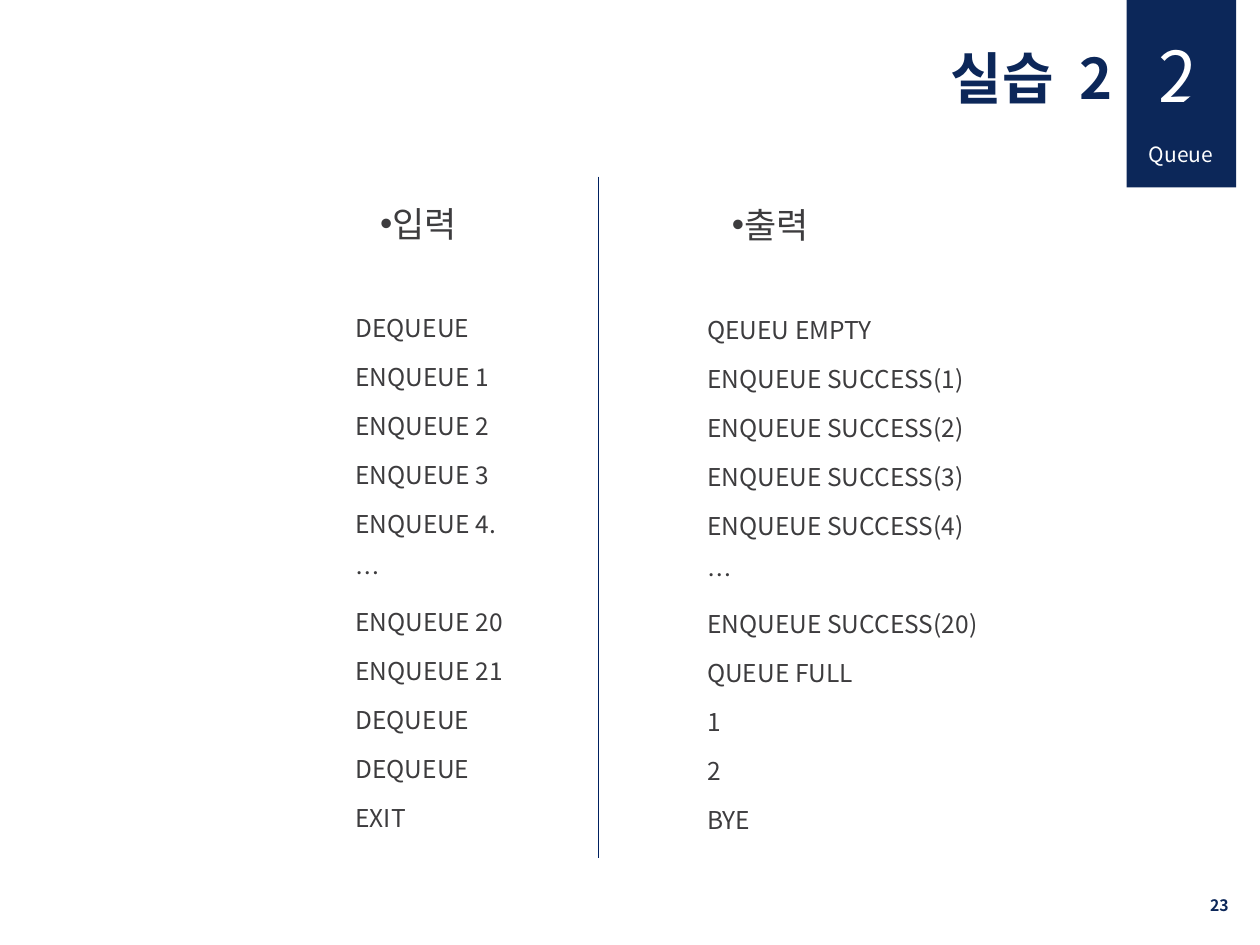
from lxml import etree
from pptx import Presentation
from pptx.dml.color import RGBColor
from pptx.enum.shapes import MSO_CONNECTOR, MSO_SHAPE
from pptx.enum.text import MSO_ANCHOR, MSO_AUTO_SIZE, PP_ALIGN
from pptx.oxml.ns import qn
from pptx.util import Cm, Pt

LEFT, RIGHT, JUST = PP_ALIGN.LEFT, PP_ALIGN.RIGHT, PP_ALIGN.JUSTIFY
TOP, MID = MSO_ANCHOR.TOP, MSO_ANCHOR.MIDDLE
FIXED = MSO_AUTO_SIZE.NONE
RECT, WEDGE = MSO_SHAPE.RECTANGLE, MSO_SHAPE.ISOSCELES_TRIANGLE
LINE = MSO_CONNECTOR.STRAIGHT

NAVY = RGBColor(0x0C, 0x27, 0x59)
RULE = RGBColor(0x00, 0x20, 0x60)
GREY = RGBColor(0x3D, 0x3C, 0x3E)
WHITE = RGBColor(0xFF, 0xFF, 0xFF)
FONT = "Noto Sans CJK KR"

TITLE = ["실습", " ", "2"]
LISTS = [
    ("입력", (6.91, 3.53, 8.41, 11.3),
     ["DEQUEUE", "ENQUEUE 1", "ENQUEUE 2", "ENQUEUE 3", "ENQUEUE 4.", "…",
      "ENQUEUE 20", "ENQUEUE 21", "DEQUEUE", "DEQUEUE", "EXIT"]),
    ("출력", (14, 3.56, 8.41, 10.9),
     ["QEUEU EMPTY", "ENQUEUE SUCCESS(1)", "ENQUEUE SUCCESS(2)",
      "ENQUEUE SUCCESS(3)", "ENQUEUE SUCCESS(4)", "…",
      "ENQUEUE SUCCESS(20)", "QUEUE FULL", "1", "2", "BYE"]),
]
LABELS = [
    ("23", (19.1, 17.73, 5.92, 1.02), 9, NAVY, True, RIGHT, MID),
    ("Queue", (22.91, 2.72, 2.01, 0.76), 12, WHITE, False, JUST, TOP),
    ("2", (23.11, 0.53, 1.6, 1.96), 40, WHITE, False, LEFT, TOP),
]
BLOCK = (22.71, 0, 2.21, 3.78)
CORNER = (23.32, 1.52, 1.19, 0.99)
SPLIT = (12.07, 3.56, 12.07, 17.3)


def place(shape, box):
    shape.left, shape.top, shape.width, shape.height = map(Cm, box)


def frame(shape, side=TOP):
    body = shape.text_frame
    body.word_wrap = True
    body.auto_size = FIXED
    body.vertical_anchor = side
    return body


def write(para, text, size, color, bold=False):
    run = para.add_run()
    run.text = text
    font = run.font
    font.size, font.bold, font.name = Pt(size), bold, FONT
    font.color.rgb = color
    props = run._r.get_or_add_rPr()
    etree.SubElement(props, qn("a:ea")).set("typeface", FONT)
    return props


def bullet(para, mark=None):
    props = para._p.get_or_add_pPr()
    props.set("marL", "0")
    props.set("indent", str(Cm(0.5) if mark else 0))
    if mark:
        etree.SubElement(props, qn("a:buChar")).set("char", mark)
    else:
        etree.SubElement(props, qn("a:buNone"))


def fill_list(shape, head, rows):
    body = frame(shape)
    for i, text in enumerate([head] + rows):
        para = body.paragraphs[0] if i == 0 else body.add_paragraph()
        bullet(para, None if i else "•")
        para.alignment = LEFT
        para.line_spacing = 1.5
        para.space_before = Pt({0: 0, 1: 30.8}.get(i, 2.8))
        para.space_after = Pt(0)
        write(para, text, 14 if i else 20, GREY)


def add_solid(slide, kind, box):
    shape = slide.shapes.add_shape(kind, *map(Cm, box))
    shape.shadow.inherit = False
    shape.fill.solid()
    shape.fill.fore_color.rgb = NAVY
    shape.line.fill.background()
    return shape


def main():
    deck = Presentation()
    deck.slide_width, deck.slide_height = Cm(25.4), Cm(19.05)
    slide = deck.slides.add_slide(deck.slide_layouts[3])
    title, *bodies = slide.placeholders

    place(title, (16.56, 0.74, 6.12, 1.63))
    para = frame(title).paragraphs[0]
    para.alignment = RIGHT
    for text in TITLE:
        props = write(para, text, 32, NAVY, True)
        if text == " ":
            props.set("spc", "720")

    for shape, (head, box, rows) in zip(bodies, LISTS):
        place(shape, box)
        fill_list(shape, head, rows)

    add_solid(slide, RECT, BLOCK)
    for text, box, size, color, bold, align, side in LABELS:
        shape = slide.shapes.add_textbox(*map(Cm, box))
        para = frame(shape, side).paragraphs[0]
        para.alignment = align
        write(para, text, size, color, bold)
    add_solid(slide, WEDGE, CORNER).adjustments[0] = 1

    rule = slide.shapes.add_connector(LINE, *map(Cm, SPLIT))
    rule.line.color.rgb = RULE
    rule.line.width = Pt(0.75)
    etree.SubElement(rule._element.spPr, qn("a:effectLst"))

    deck.save("out.pptx")


if __name__ == "__main__":
    main()
